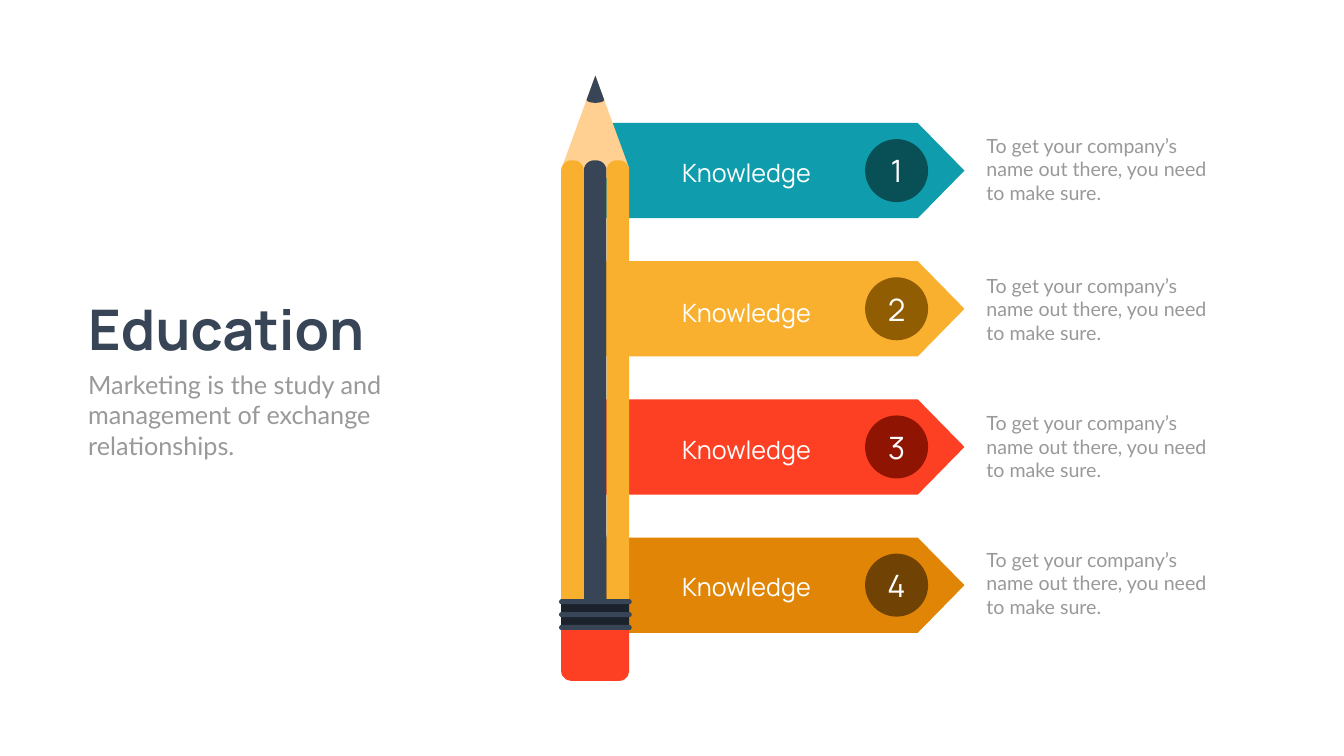
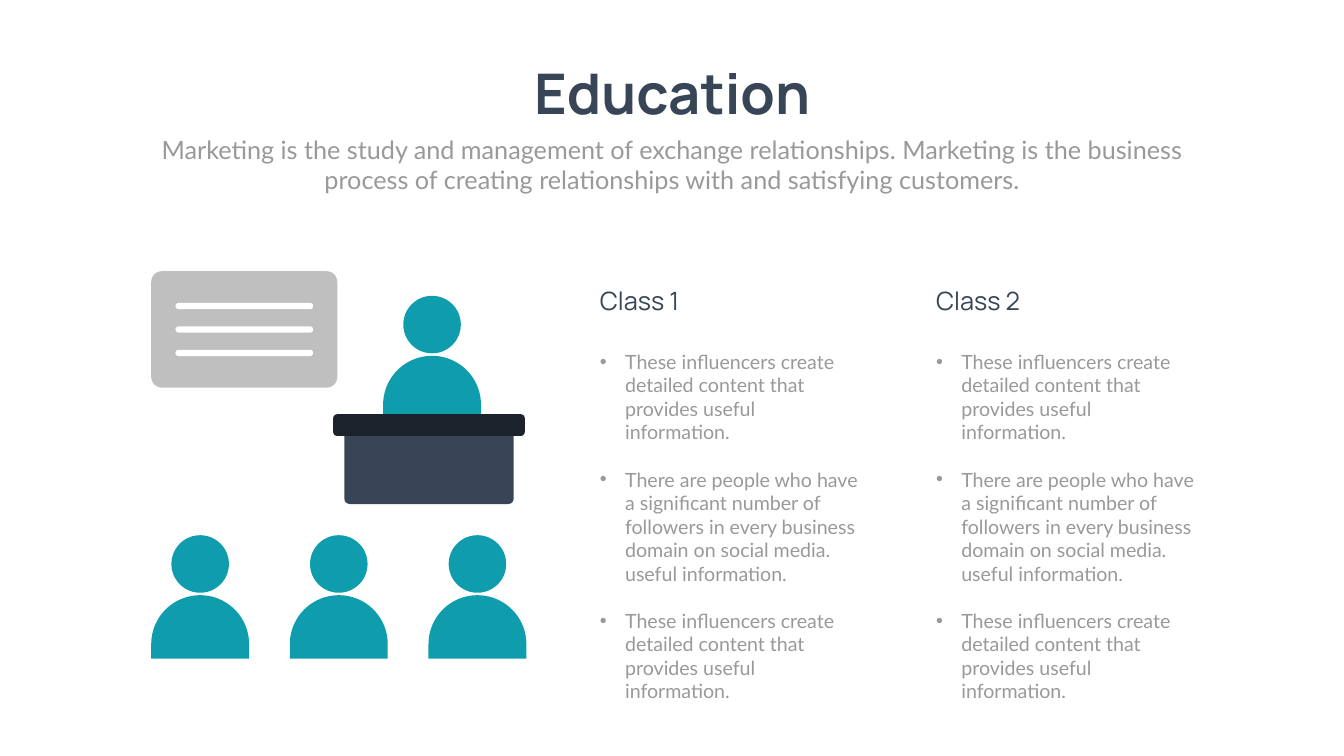
from dataclasses import dataclass
from math import cos, pi, sin

from lxml.etree import SubElement
from pptx import Presentation
from pptx.dml.color import RGBColor
from pptx.enum.shapes import MSO_SHAPE as Preset
from pptx.enum.text import MSO_ANCHOR as Anchor
from pptx.enum.text import MSO_AUTO_SIZE as AutoSize
from pptx.enum.text import PP_ALIGN as Align
from pptx.oxml.ns import qn
from pptx.util import Pt


@dataclass(frozen=True)
class Theme:
    background: str = "FEFFFE"
    navy: str = "374556"
    dark: str = "1C222B"
    grey: str = "999999"
    board: str = "BFBFBF"
    white: str = "FFFFFF"
    teal: str = "0F9DAD"
    yellow: str = "FAB02F"
    red: str = "FD4024"
    wood: str = "FFD091"
    heading_font: str = "Manrope"
    body_font: str = "Lato"
    title_size: float = 80
    number_size: float = 44
    lead_size: float = 36
    text_size: float = 28


THEME = Theme()


@dataclass(frozen=True)
class Style:
    font: str
    size: float
    color: str
    bold: bool = False
    align: Align = Align.LEFT


@dataclass(frozen=True)
class Box:
    left: float
    top: float
    width: float
    height: float


@dataclass(frozen=True)
class Banner:
    color: str
    badge_color: str
    text_top: float


@dataclass(frozen=True)
class Person:
    left: float
    top: float
    body_height: float = 90.7


@dataclass(frozen=True)
class Part:
    box: Box
    color: str
    corner: float = 0


TITLE = Style(THEME.heading_font, THEME.title_size, THEME.navy, bold=True)
TITLE_CENTRED = Style(THEME.heading_font, THEME.title_size, THEME.navy, True, Align.CENTER)
LEAD = Style(THEME.body_font, THEME.lead_size, THEME.grey)
LEAD_CENTRED = Style(THEME.body_font, THEME.lead_size, THEME.grey, align=Align.CENTER)
TEXT = Style(THEME.body_font, THEME.text_size, THEME.grey)
LABEL = Style(THEME.heading_font, THEME.lead_size, THEME.white)
CLASS_NAME = Style(THEME.heading_font, THEME.lead_size, THEME.navy)
NUMBER = Style(THEME.heading_font, THEME.number_size, THEME.white, align=Align.CENTER)

BANNERS = [
    Banner(THEME.teal, "084F56", 187.2),
    Banner(THEME.yellow, "915D03", 387.4),
    Banner(THEME.red, "8F1401", 583.9),
    Banner("E08505", "704203", 779),
]
BANNER_TOP, BANNER_PITCH = 175.7, 197.4
BANNER_TEXT = "To get your company’s name out there, you need to make sure."

PENCIL_LEFT, STRIPE_WIDTH = 801.4, 32.4
WOOD = [(802.1, 240.5), (850.3, 108), (898.6, 240.5), (881.3, 257), (801.4, 244.1)]
ERASER = Part(Box(PENCIL_LEFT, 878.4, 97.2, 94.3), THEME.red, 0.15)
STRIPES = [
    Part(Box(PENCIL_LEFT + column * STRIPE_WIDTH, 229, STRIPE_WIDTH, 641.5), color, 0.45)
    for column, color in ((1, THEME.navy), (2, THEME.yellow), (0, THEME.yellow))
]
FERRULE = [Part(Box(PENCIL_LEFT, 856, 97.2, 44), THEME.dark)] + [
    Part(Box(798.5, 856 + row * 18.4, 103.7, 7.2), THEME.navy, 0.5) for row in range(3)
]

SPEAKER = Person(547.2, 422.6, 198)
STUDENTS = [Person(216 + column * 198, 764.6) for column in range(3)]
DESK = [
    Part(Box(491.8, 594, 241.9, 126), THEME.navy, 0.06),
    Part(Box(475.9, 591.8, 273.6, 31), THEME.dark, 0.18),
]
BOARD = [Part(Box(216, 387.4, 265.7, 166.3), THEME.board, 0.09)] + [
    Part(Box(250.6, 432.7 + row * 33.5, 196.6, 9), THEME.white, 0.5) for row in range(3)
]

INFLUENCERS = "These influencers create detailed content that provides useful information."
FOLLOWERS = (
    "There are people who have a significant number of followers in every business "
    "domain on social media. useful information."
)
CLASS_POINTS = [INFLUENCERS, FOLLOWERS, INFLUENCERS]
CLASS_LEFT, CLASS_PITCH = 849.6, 480.2


def place(shape, box: Box) -> None:
    shape.left, shape.top = Pt(box.left), Pt(box.top)
    shape.width, shape.height = Pt(box.width), Pt(box.height)


def paint(shape, color: str) -> None:
    shape.shadow.inherit = False
    shape.fill.solid()
    shape.fill.fore_color.rgb = RGBColor.from_string(color)
    shape.line.fill.background()


def set_bullet(paragraph, bulleted: bool) -> None:
    properties = paragraph._p.get_or_add_pPr()
    indent = Pt(36) if bulleted else 0
    properties.set("marL", str(indent))
    properties.set("indent", str(-indent))
    if bulleted:
        SubElement(properties, qn("a:buChar")).set("char", "•")
    else:
        SubElement(properties, qn("a:buNone"))


def write(shape, lines: list[str], style: Style, bulleted: bool = False) -> None:
    frame = shape.text_frame
    for index, line in enumerate(lines):
        paragraph = frame.paragraphs[0] if index == 0 else frame.add_paragraph()
        set_bullet(paragraph, bulleted)
        paragraph.alignment = style.align
        paragraph.space_before = Pt(1.2 * style.size if index else 0)
        run = paragraph.add_run()
        run.text = line
        run.font.name, run.font.size, run.font.bold = style.font, Pt(style.size), style.bold
        run.font.color.rgb = RGBColor.from_string(style.color)


def fill_text(shape, box: Box, lines: list[str], style: Style,
              bulleted: bool = False, wrap: bool = True) -> None:
    """Move a text box or placeholder and write top-aligned text that grows it."""
    place(shape, box)
    shape.text_frame.word_wrap = wrap
    shape.text_frame.auto_size = AutoSize.SHAPE_TO_FIT_TEXT
    shape.text_frame.vertical_anchor = Anchor.TOP
    write(shape, lines, style, bulleted)


def add_text(slide, box: Box, text: str, style: Style) -> None:
    fill_text(slide.shapes.add_textbox(0, 0, 0, 0), box, [text], style)


def add_preset(slide, preset: Preset, box: Box, color: str):
    shape = slide.shapes.add_shape(preset, 0, 0, 0, 0)
    place(shape, box)
    paint(shape, color)
    return shape


def add_parts(slide, parts: list[Part]) -> None:
    for part in parts:
        preset = Preset.ROUNDED_RECTANGLE if part.corner else Preset.RECTANGLE
        shape = add_preset(slide, preset, part.box, part.color)
        if part.corner:
            shape.adjustments[0] = part.corner


def add_outline(slide, points: list[tuple[float, float]], color: str) -> None:
    corners = [(Pt(x), Pt(y)) for x, y in points]
    builder = slide.shapes.build_freeform(*corners[0])
    builder.add_line_segments(corners[1:], close=True)
    paint(builder.convert_to_shape(), color)


def half_ellipse(x: float, y: float, radius_x: float, radius_y: float) -> list[tuple[float, float]]:
    """Points from left to right; a negative radius_y bulges upwards."""
    angles = [pi * step / 48 for step in range(49)]
    return [(x - radius_x * cos(angle), y + radius_y * sin(angle)) for angle in angles]


def add_banner(slide, row: int, banner: Banner) -> None:
    top = BANNER_TOP + row * BANNER_PITCH
    arrow = add_preset(slide, Preset.PENTAGON, Box(862.6, top, 514.8, 136.1), banner.color)
    arrow.adjustments[0] = 0.49
    badge = add_preset(slide, Preset.OVAL, Box(1235.5, top + 23, 90, 90), banner.badge_color)
    badge.text_frame.vertical_anchor = Anchor.MIDDLE
    write(badge, [str(row + 1)], NUMBER)
    add_text(slide, Box(1401.8, banner.text_top, 342.7, 108.7), BANNER_TEXT, TEXT)
    add_text(slide, Box(967, banner.text_top + 33.5, 234.7, 51.1), "Knowledge", LABEL)


def add_pencil(slide) -> None:
    add_parts(slide, [ERASER])
    add_outline(slide, WOOD, THEME.wood)
    add_parts(slide, STRIPES)
    add_outline(slide, [(850.3, 108)] + half_ellipse(850.3, 142.6, 12.6, 4.3), THEME.navy)
    add_parts(slide, FERRULE)


def add_person(slide, person: Person) -> None:
    radius = 69.9
    right = person.left + 2 * radius
    body_top = person.top + 85.7
    bottom = body_top + person.body_height
    shoulders = half_ellipse(person.left + radius, body_top + radius, radius, -radius)
    add_outline(slide, shoulders + [(right, bottom), (person.left, bottom)], THEME.teal)
    add_preset(slide, Preset.OVAL, Box(person.left + 28.8, person.top, 82.2, 82.2), THEME.teal)


def build_pencil_slide(presentation) -> None:
    slide = presentation.slides.add_slide(presentation.slide_layouts.get_by_name("Title and Content"))
    fill_text(slide.shapes.title, Box(118.8, 417.6, 434.2, 104.4), ["Education"], TITLE, wrap=False)
    fill_text(slide.placeholders[1], Box(118.8, 524.2, 529.2, 138.2),
              ["Marketing is the study and management of exchange relationships."], LEAD)
    for row, banner in enumerate(BANNERS):
        add_banner(slide, row, banner)
    add_pencil(slide)


def build_classes_slide(presentation) -> None:
    slide = presentation.slides.add_slide(presentation.slide_layouts.get_by_name("Comparison"))
    fill_text(slide.shapes.title, Box(743, 80.6, 434.2, 104.4), ["Education"], TITLE_CENTRED, wrap=False)
    add_text(slide, Box(210.2, 187.9, 1499, 94.3),
             "Marketing is the study and management of exchange relationships. Marketing is the "
             "business process of creating relationships with and satisfying customers.", LEAD_CENTRED)
    add_person(slide, SPEAKER)
    add_parts(slide, DESK)
    for student in STUDENTS:
        add_person(slide, student)
    add_parts(slide, BOARD)
    for column in range(2):
        left = CLASS_LEFT + column * CLASS_PITCH
        name, points = slide.placeholders[1 + 2 * column], slide.placeholders[2 + 2 * column]
        fill_text(name, Box(left, 403.9, 385.9, 51.1), [f"Class {column + 1}"], CLASS_NAME)
        fill_text(points, Box(left, 496.1, 389.5, 448.6), CLASS_POINTS, TEXT, bulleted=True)


def main() -> None:
    presentation = Presentation()
    presentation.slide_width, presentation.slide_height = Pt(1919.52), Pt(1080)
    background = presentation.slide_master.background.fill
    background.solid()
    background.fore_color.rgb = RGBColor.from_string(THEME.background)
    build_pencil_slide(presentation)
    build_classes_slide(presentation)
    presentation.save("out.pptx")


if __name__ == "__main__":
    main()
